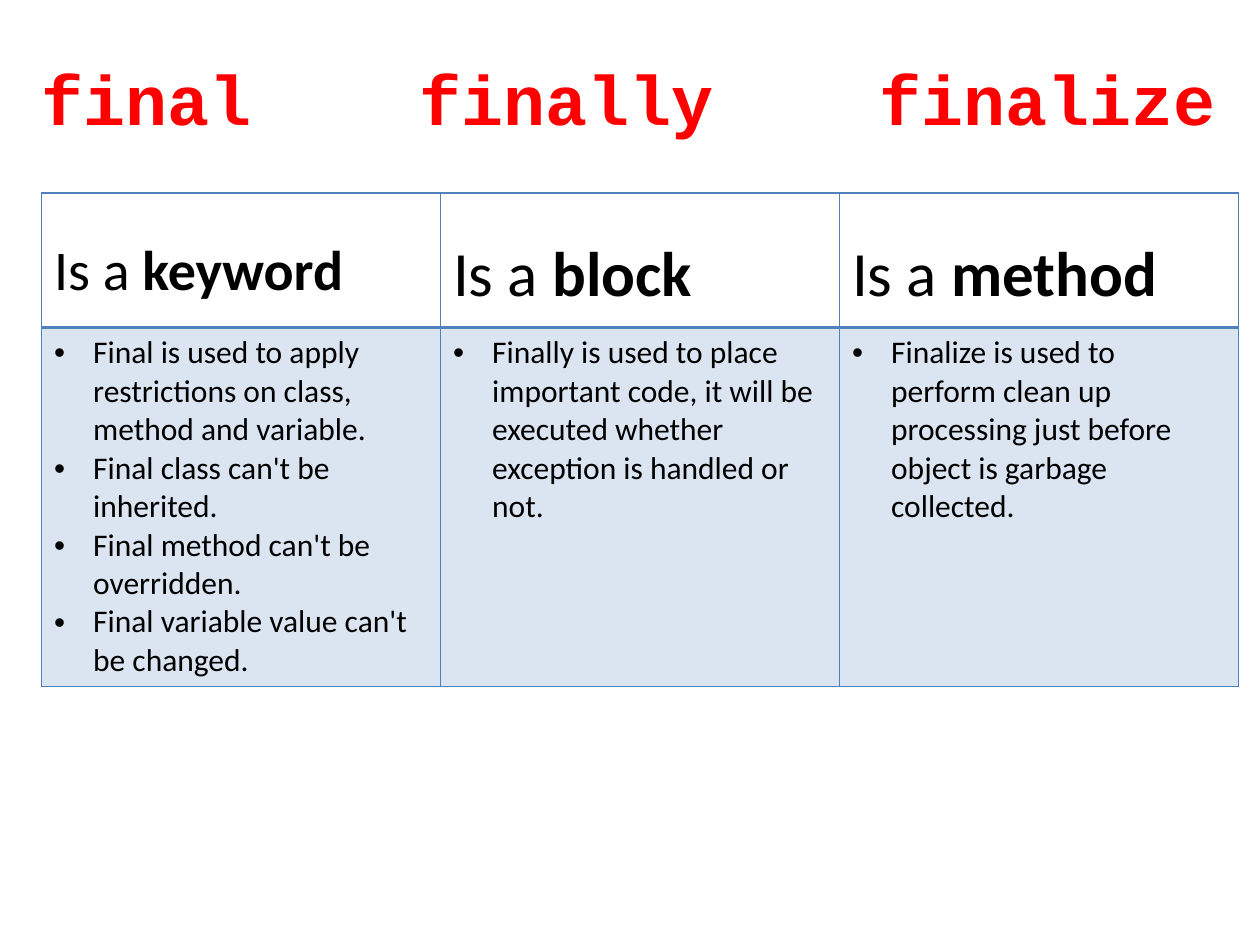
import pptx
import pptx.dml.color
import pptx.enum.text
import pptx.oxml
import pptx.oxml.ns
import pptx.util

Inches, Pt = pptx.util.Inches, pptx.util.Pt
NS = pptx.oxml.ns.nsdecls("a")

theme = {
    "title": {"font": "Courier New", "size": 40, "color": "FF0000", "bold": True},
    "text": {"font": "Calibri", "size": 18, "color": "000000", "bold": False},
    "line": "4F81BD",
    "tint": 20,
}

heads = [("keyword", 32), ("block", 36), ("method", 36)]
notes = [
    ["Final is used to apply restrictions on class, method and variable.",
     "Final class can't be inherited.",
     "Final method can't be overridden.",
     "Final variable value can't be changed."],
    ["Finally is used to place important code, it will be executed whether "
     "exception is handled or not."],
    ["Finalize is used to perform clean up processing just before object is "
     "garbage collected."],
]


def write(para, text, style, **more):
    """Add one run in a theme style; more overrides parts of it."""
    look = {**style, **more}
    run = para.add_run()
    run.text = text
    run.font.name = look["font"]
    run.font.size = Pt(look["size"])
    run.font.bold = look["bold"]
    run.font.color.rgb = pptx.dml.color.RGBColor.from_string(look["color"])


def frame(cell, widths):
    """Draw the cell's borders; widths maps L, R, T and B to points."""
    props = cell._tc.get_or_add_tcPr()
    for spot, (side, width) in enumerate(widths.items()):
        props.insert(spot, pptx.oxml.parse_xml(
            f'<a:ln{side} {NS} w="{Pt(width)}"><a:solidFill>'
            f'<a:srgbClr val="{theme["line"]}"/></a:solidFill></a:ln{side}>'))


deck = pptx.Presentation()
deck.slide_width, deck.slide_height = Inches(10), Inches(7.5)
slide = deck.slides.add_slide(deck.slide_layouts[6])
left = Inches(0.33)

# Title: three words on tab stops
box = slide.shapes.add_textbox(left, Inches(0.44), Inches(9.34), Inches(0.67))
body = box.text_frame
body.word_wrap = True
body.margin_left = body.margin_right = body.margin_top = body.margin_bottom = 0
body.vertical_anchor = pptx.enum.text.MSO_ANCHOR.TOP
para = body.paragraphs[0]
para.space_before = Pt(7.5)
stops = "".join(f'<a:tab pos="{Inches(stop)}" algn="l"/>' for stop in (3, 6.65))
para._p.get_or_add_pPr().append(
    pptx.oxml.parse_xml(f"<a:tabLst {NS}>{stops}</a:tabLst>"))
write(para, "final\tfinally\tfinalize", theme["title"])

# Table: one column for each word
rows = [Inches(1.07), Inches(2.85)]
grid = slide.shapes.add_table(2, 3, left, Inches(1.53), Inches(9.5), sum(rows)).table
grid.first_row = grid.horz_banding = False
for row, height in zip(grid.rows, rows):
    row.height = height

for col, ((word, size), points) in enumerate(zip(heads, notes)):
    head, cell = grid.cell(0, col), grid.cell(1, col)

    head.fill.background()
    frame(head, {"L": 1, "R": 1, "T": 1, "B": 2})
    head.margin_top = Inches(0.35)
    para = head.text_frame.paragraphs[0]
    write(para, "Is a ", theme["text"], size=size)
    write(para, word, theme["text"], size=size, bold=True)

    cell.fill.solid()
    cell.fill.fore_color.rgb = pptx.dml.color.RGBColor.from_string(theme["line"])
    tint = cell._tc.tcPr.find(".//" + pptx.oxml.ns.qn("a:srgbClr"))
    tint.append(pptx.oxml.parse_xml(f'<a:alpha {NS} val="{theme["tint"] * 1000}"/>'))
    frame(cell, {"L": 1, "R": 1, "T": 2, "B": 1})
    body = cell.text_frame
    for spot, point in enumerate(points):
        para = body.add_paragraph() if spot else body.paragraphs[0]
        props = para._p.get_or_add_pPr()
        props.set("marL", str(Inches(0.31)))
        props.set("indent", str(-Inches(0.31)))
        props.append(pptx.oxml.parse_xml(f'<a:buFont {NS} typeface="Arial"/>'))
        props.append(pptx.oxml.parse_xml(f'<a:buChar {NS} char="•"/>'))
        write(para, point, theme["text"])

deck.save("out.pptx")
